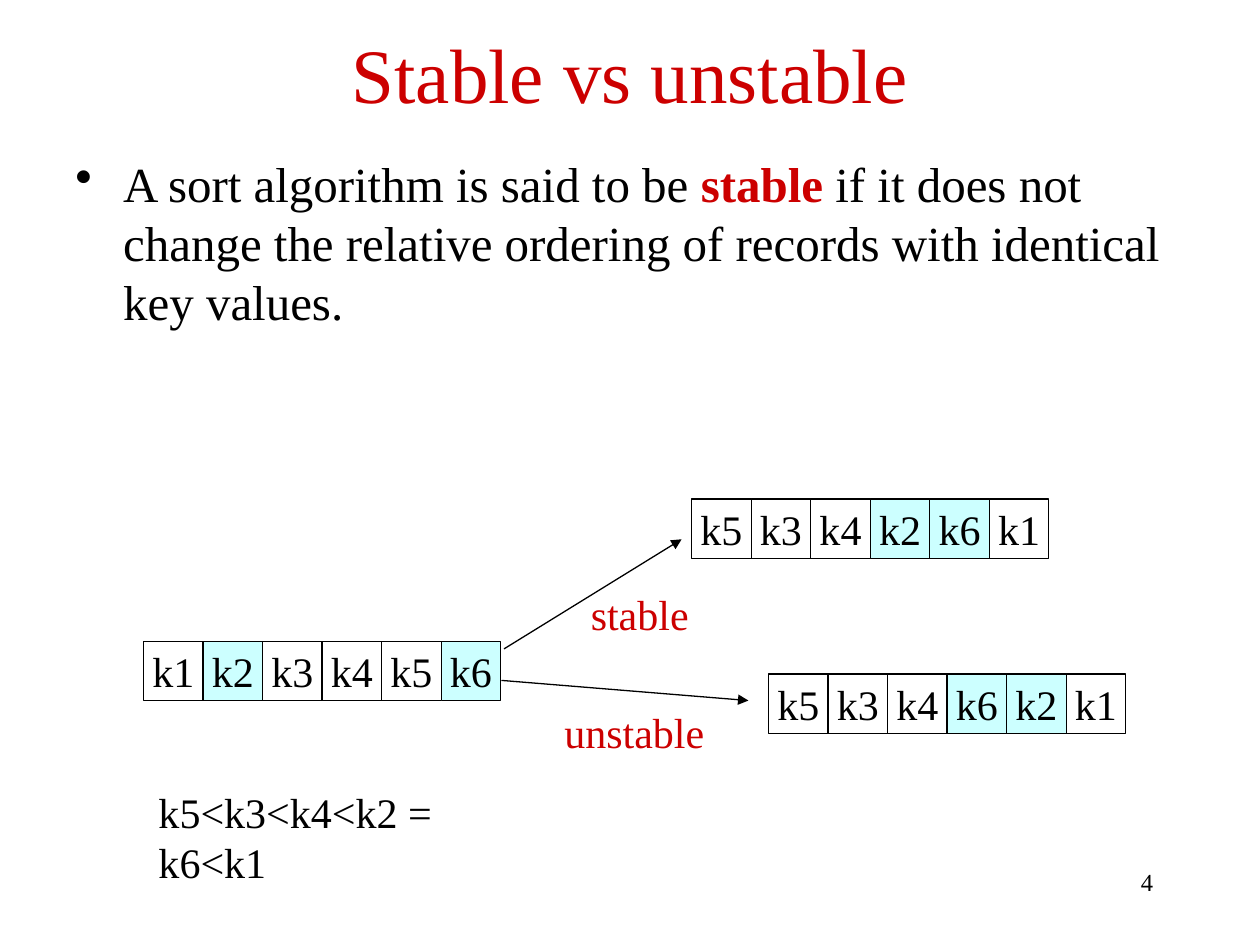
from dataclasses import dataclass

from lxml import etree
from pptx import Presentation
from pptx.dml.color import RGBColor
from pptx.enum import shapes, text
from pptx.oxml import ns
from pptx.util import Inches, Pt


@dataclass(frozen=True)
class Theme:
    font: str = "Times New Roman"
    ink: RGBColor = RGBColor(0x00, 0x00, 0x00)
    accent: RGBColor = RGBColor(0xCC, 0x00, 0x00)
    highlight: RGBColor = RGBColor(0xCC, 0xFF, 0xFF)
    title_size: int = 44
    body_size: int = 28
    label_size: int = 24
    number_size: int = 14
    line_width: float = 0.75


THEME = Theme()
CELL = 0.4725
EQUAL_KEYS = {"k2", "k6"}


def write(frame, content, size=THEME.label_size, color=THEME.ink,
          align=text.PP_ALIGN.LEFT, anchor=text.MSO_ANCHOR.TOP, wrap=False):
    """Fill a frame with a string or with (string, is_emphasised) runs."""
    frame.word_wrap = wrap
    frame.vertical_anchor = anchor
    paragraph = frame.paragraphs[0]
    paragraph.alignment = align
    runs = [(content, False)] if isinstance(content, str) else content
    for words, emphasised in runs:
        run = paragraph.add_run()
        run.text = words
        run.font.name = THEME.font
        run.font.size = Pt(size)
        run.font.bold = emphasised
        run.font.color.rgb = THEME.accent if emphasised else color
    return paragraph


def add_text(slide, box, content, **style):
    frame = slide.shapes.add_textbox(*map(Inches, box)).text_frame
    return write(frame, content, **style)


def add_definition(slide, box):
    definition = add_text(slide, box, [
        ("A sort algorithm is said to be ", False),
        ("stable", True),
        (" if it does not change the relative ordering of records "
         "with identical key values.", False),
    ], size=THEME.body_size, wrap=True)
    definition.space_before = Pt(7)
    # Hanging bullet
    properties = definition._p.get_or_add_pPr()
    properties.set("marL", str(Inches(0.38)))
    properties.set("indent", str(Inches(-0.38)))
    etree.SubElement(properties, ns.qn("a:buChar")).set("char", "•")


def add_records(slide, left, top, keys):
    """A row of touching cells; records with equal keys are tinted."""
    for column, key in enumerate(keys.split()):
        cell = slide.shapes.add_shape(
            shapes.MSO_SHAPE.RECTANGLE, Inches(left + column * CELL),
            Inches(top), Inches(CELL), Inches(CELL))
        cell.shadow.inherit = False
        cell.line.color.rgb = THEME.ink
        cell.line.width = Pt(THEME.line_width)
        if key in EQUAL_KEYS:
            cell.fill.solid()
            cell.fill.fore_color.rgb = THEME.highlight
        else:
            cell.fill.background()
        write(cell.text_frame, key, align=text.PP_ALIGN.CENTER,
              anchor=text.MSO_ANCHOR.MIDDLE)


def add_arrow(slide, start, end):
    arrow = slide.shapes.add_connector(
        shapes.MSO_CONNECTOR.STRAIGHT, *map(Inches, start + end))
    arrow.line.color.rgb = THEME.ink
    arrow.line.width = Pt(THEME.line_width)
    line = arrow.line._get_or_add_ln()
    etree.SubElement(line, ns.qn("a:tailEnd")).set("type", "triangle")
    etree.SubElement(arrow._element.spPr, ns.qn("a:effectLst"))


def add_sort_diagram(slide, left, top):
    """Input records, with arrows to the stable and unstable results."""
    # Record rows
    add_records(slide, left, top + 1.13, "k1 k2 k3 k4 k5 k6")
    add_records(slide, left + 4.35, top, "k5 k3 k4 k2 k6 k1")
    add_records(slide, left + 4.96, top + 1.39, "k5 k3 k4 k6 k2 k1")
    # Key order
    add_text(slide, (left + 0.02, top + 2.23, 3.3, 0.5), "k5<k3<k4<k2 = k6<k1")
    # Outcomes
    add_arrow(slide, (left + 2.86, top + 1.19), (left + 4.27, top + 0.32))
    add_arrow(slide, (left + 2.84, top + 1.44), (left + 4.8, top + 1.6))
    add_text(slide, (left + 3.45, top + 0.66, 0.98, 0.5), "stable",
             color=THEME.accent)
    add_text(slide, (left + 3.24, top + 1.6, 1.31, 0.5), "unstable",
             color=THEME.accent)


def main():
    deck = Presentation()
    deck.slide_width, deck.slide_height = Inches(10), Inches(7.5)
    slide = deck.slides.add_slide(deck.slide_layouts[6])

    add_text(slide, (7.17, 6.83, 2.08, 0.5), "4", size=THEME.number_size,
             align=text.PP_ALIGN.RIGHT, wrap=True)
    add_text(slide, (0.5, 0.08, 9, 1), "Stable vs unstable",
             size=THEME.title_size, color=THEME.accent, wrap=True,
             align=text.PP_ALIGN.CENTER, anchor=text.MSO_ANCHOR.MIDDLE)
    add_definition(slide, (0.5, 1.17, 9, 5.58))
    add_sort_diagram(slide, 1.14, 3.96)
    deck.save("out.pptx")


if __name__ == "__main__":
    main()
